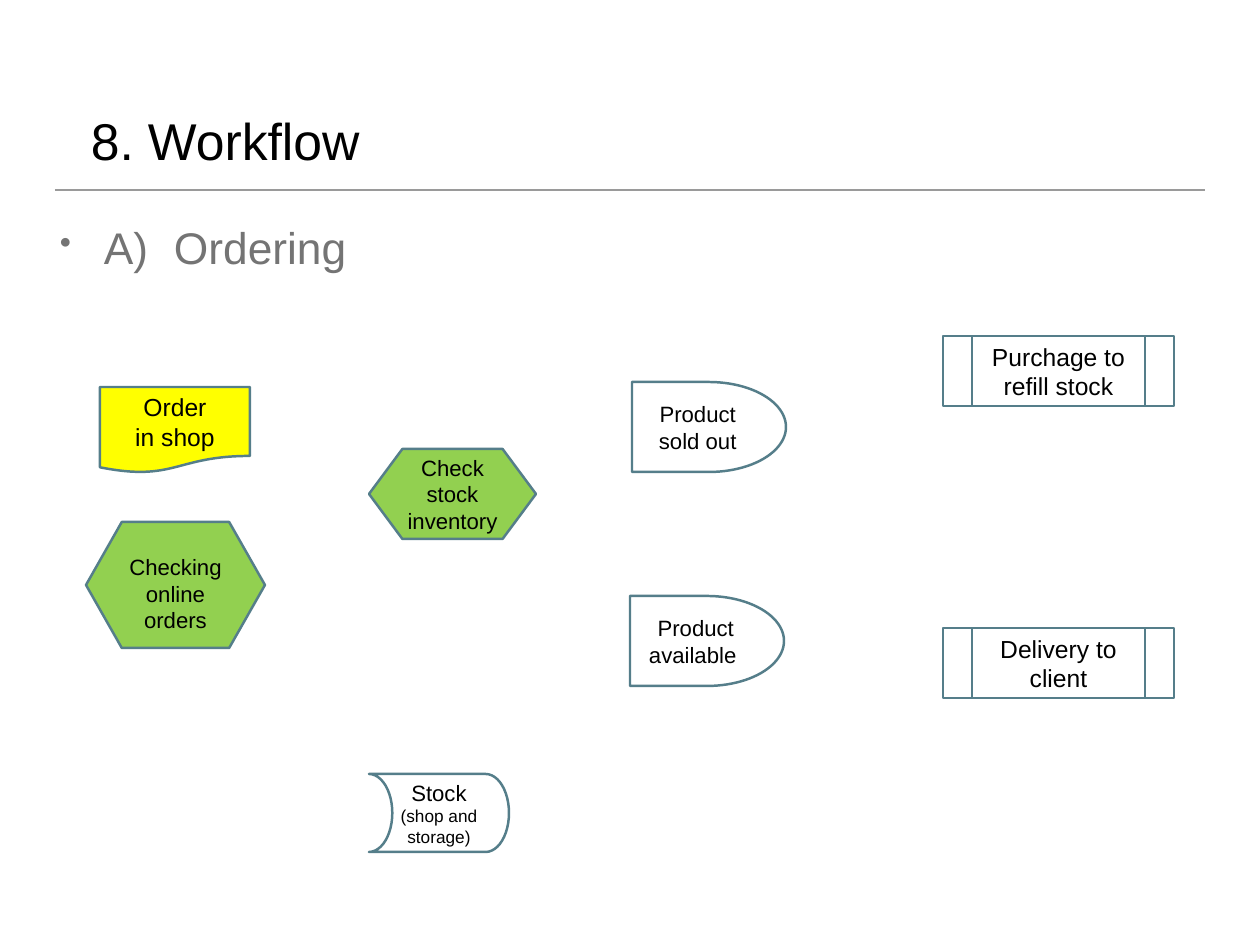
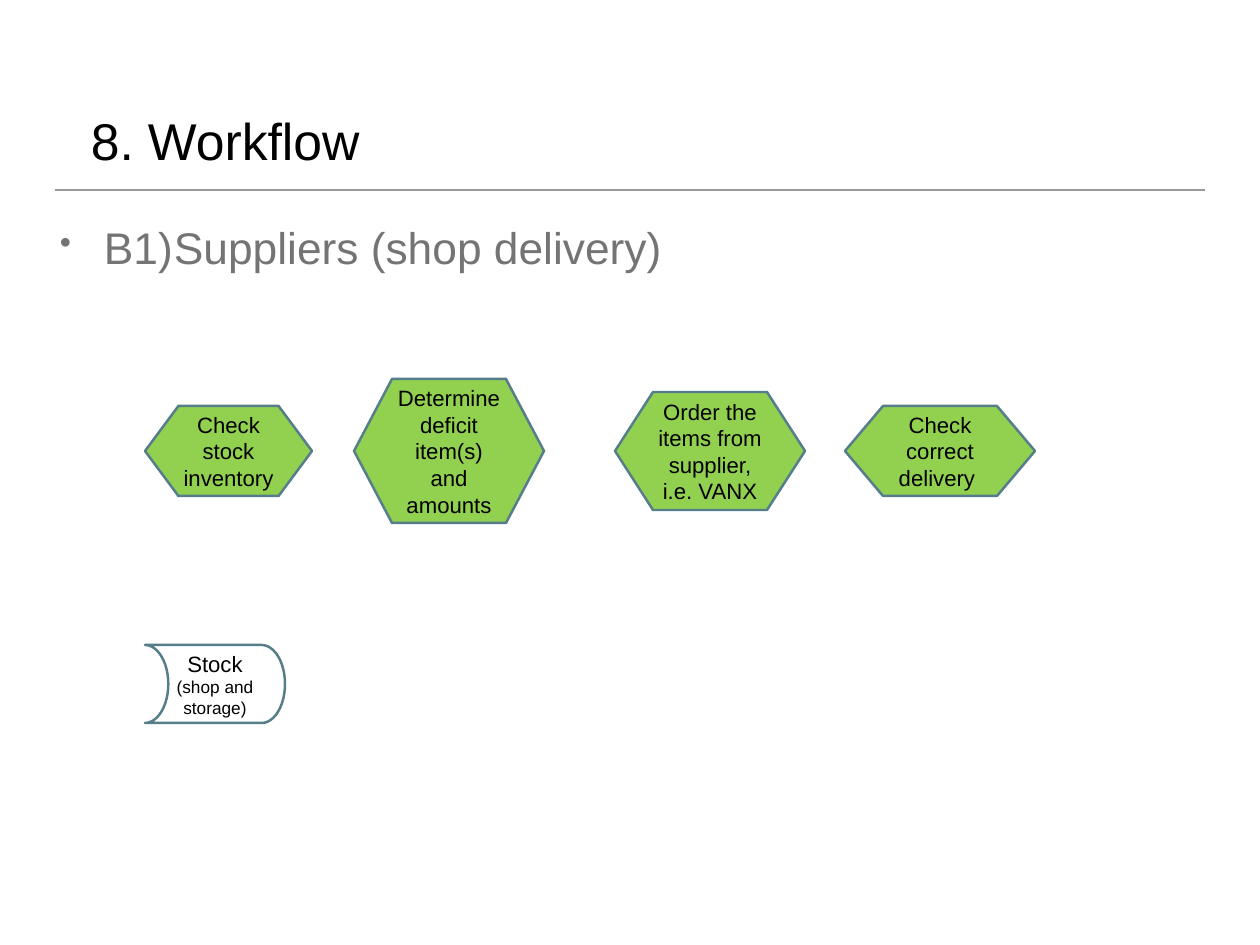
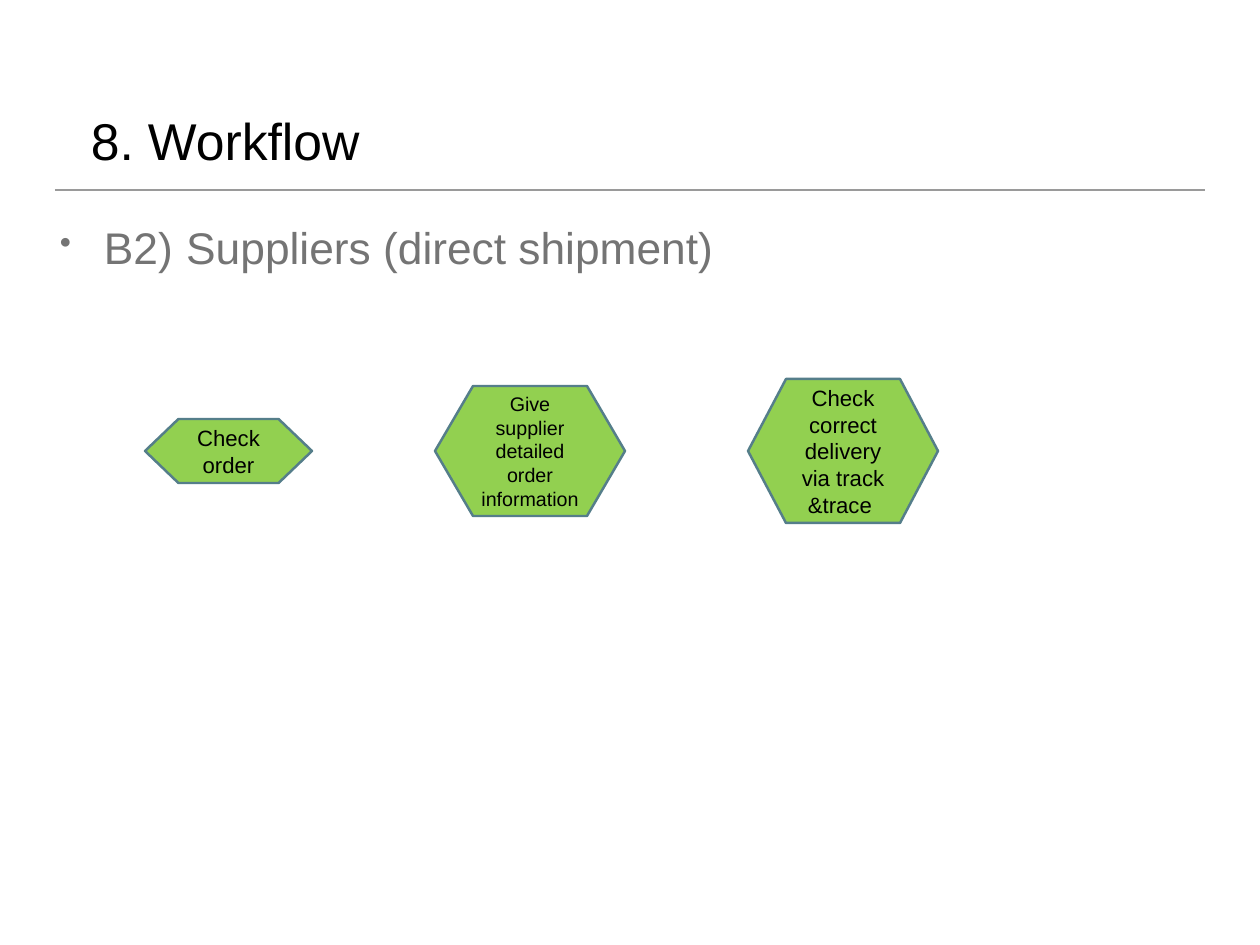
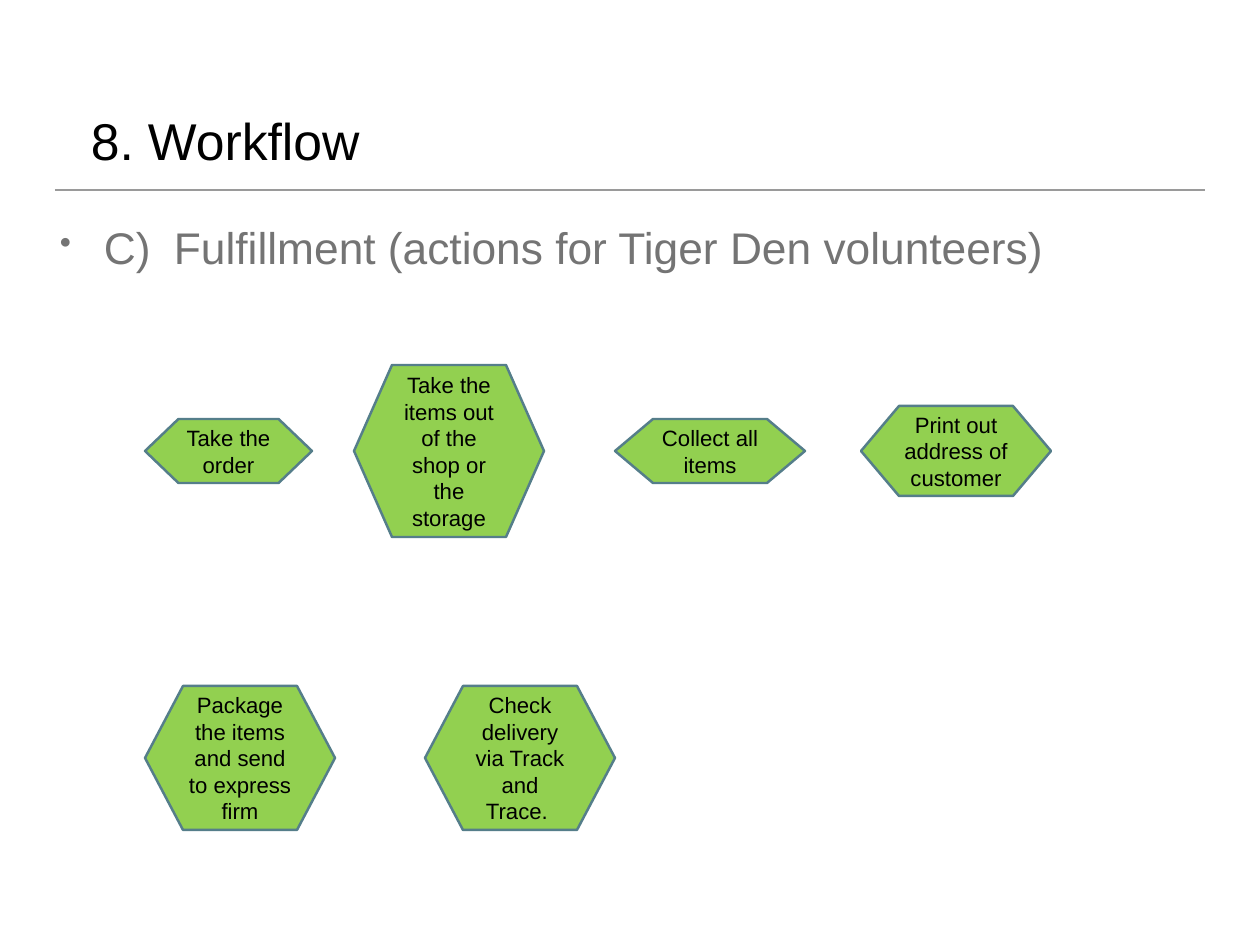
from lxml import etree
from pptx import Presentation
from pptx.dml.color import RGBColor
from pptx.enum.shapes import MSO_CONNECTOR, MSO_SHAPE
from pptx.enum.text import MSO_ANCHOR, MSO_AUTO_SIZE, PP_ALIGN
from pptx.oxml.ns import qn
from pptx.util import Pt

# Scale, colours and enum members
PX = 10320  # EMU in one px
BLACK = RGBColor(0x00, 0x00, 0x00)
WHITE = RGBColor(0xFF, 0xFF, 0xFF)
GRAY = RGBColor(0x74, 0x74, 0x74)
RULE_GRAY = RGBColor(0x9A, 0x9A, 0x9A)
OUTLINE = RGBColor(0x55, 0x7E, 0x8A)
GREEN = RGBColor(0x92, 0xD0, 0x50)
YELLOW = RGBColor(0xFF, 0xFF, 0x00)

ACTION = MSO_SHAPE.FLOWCHART_PREPARATION
DOCUMENT = MSO_SHAPE.FLOWCHART_DOCUMENT
STATE = MSO_SHAPE.FLOWCHART_DELAY
STORAGE = MSO_SHAPE.FLOWCHART_STORED_DATA
PROCESS = MSO_SHAPE.FLOWCHART_PREDEFINED_PROCESS
FILLS = {ACTION: GREEN, DOCUMENT: YELLOW}  # every other kind is white

LEFT, CENTER = PP_ALIGN.LEFT, PP_ALIGN.CENTER
TOP, MIDDLE, BOTTOM = MSO_ANCHOR.TOP, MSO_ANCHOR.MIDDLE, MSO_ANCHOR.BOTTOM
NO_FIT = MSO_AUTO_SIZE.NONE
STRAIGHT = MSO_CONNECTOR.STRAIGHT

INSET = 5
TAB_STEP = 57
HANGING = 44


def px(*lengths):
    return [round(length * PX) for length in lengths]


def write(shape, lines, color=BLACK, align=CENTER, anchor=MIDDLE, top_inset=INSET, bullet=False):
    """Fill a shape with (text, point size) paragraphs."""
    frame = shape.text_frame
    frame.word_wrap = True
    frame.auto_size = NO_FIT
    frame.vertical_anchor = anchor
    frame.margin_left = frame.margin_right = frame.margin_bottom = INSET * PX
    frame.margin_top = top_inset * PX
    for index, (text, size) in enumerate(lines):
        paragraph = frame.add_paragraph() if index else frame.paragraphs[0]
        paragraph.alignment = align
        properties = paragraph._p.get_or_add_pPr()
        properties.set("defTabSz", str(TAB_STEP * PX))
        if bullet:
            properties.set("marL", str(HANGING * PX))
            properties.set("indent", str(-HANGING * PX))
            etree.SubElement(properties, qn("a:buSzPct")).set("val", "75000")
            etree.SubElement(properties, qn("a:buChar")).set("char", "•")
        run = paragraph.add_run()
        run.text = text
        run.font.name = "Arial"
        run.font.size = Pt(size)
        run.font.color.rgb = color


# Steps: kind, left, vertical centre, width, height, paragraphs
ROW = 451
LOWER_ROW = 758
STOCK = [("Stock", 18), ("(shop and storage)", 14)]
workflows = [
    ("A)\tOrdering", [
        (DOCUMENT, 100, 430, 150, 86, [("Order", 20), ("in shop", 20)]),
        (ACTION, 86, 585, 179, 126, [("Checking online orders", 18)]),
        (ACTION, 369, 494, 167, 90, [("Check stock inventory", 18)]),
        (STORAGE, 369, 813, 140, 78, STOCK),
        (STATE, 632, 427, 154, 90, [("Product sold out", 18)]),
        (STATE, 630, 641, 154, 90, [("Product available ", 18)]),
        (PROCESS, 943, 371, 231, 70, [("Purchage to refill stock", 20)]),
        (PROCESS, 943, 663, 231, 70, [("Delivery to client", 20)]),
    ]),
    ("B1)\tSuppliers (shop delivery)", [
        (ACTION, 145, ROW, 167, 90, [("Check stock inventory", 18)]),
        (STORAGE, 145, 684, 140, 78, STOCK),
        (ACTION, 354, ROW, 190, 144, [("Determine deficit item(s) and amounts", 18)]),
        (ACTION, 615, ROW, 190, 118, [("Order the items from supplier, i.e. VANX", 18)]),
        (ACTION, 845, ROW, 190, 90, [("Check correct delivery ", 18)]),
    ]),
    ("B2)\t Suppliers (direct shipment)", [
        (ACTION, 145, ROW, 167, 64, [("Check order", 18)]),
        (ACTION, 435, ROW, 190, 130, [("Give supplier detailed order information", 16)]),
        (ACTION, 748, ROW, 190, 144, [("Check correct delivery via track &trace ", 18)]),
    ]),
    ("C)\tFulfillment (actions for Tiger Den volunteers)", [
        (ACTION, 145, ROW, 167, 64, [("Take the order", 18)]),
        (ACTION, 354, ROW, 190, 172, [("Take the items out of the shop or the storage", 18)]),
        (ACTION, 615, ROW, 190, 64, [("Collect all items", 18)]),
        (ACTION, 861, ROW, 190, 90, [("Print out address of customer", 18)]),
        (ACTION, 145, LOWER_ROW, 190, 144, [("Package the items and send to express firm", 18)]),
        (ACTION, 425, LOWER_ROW, 190, 144, [("Check delivery via Track and Trace. ", 18)]),
    ]),
]

deck = Presentation()
deck.slide_width, deck.slide_height = px(1260, 945)
title_only = deck.slide_layouts[5]

for heading, steps in workflows:
    slide = deck.slides.add_slide(title_only)

    # Title, rule and heading
    title = slide.shapes.title
    title.left, title.top, title.width, title.height = px(86, 40, 1149, 136)
    write(title, [("8.\tWorkflow", 42)], align=LEFT, anchor=BOTTOM)

    rule = slide.shapes.add_connector(STRAIGHT, *px(55, 190, 1205, 190))
    rule.line.color.rgb = RULE_GRAY
    rule.line.width = Pt(1)
    etree.SubElement(rule._element.spPr, qn("a:effectLst"))

    section = slide.shapes.add_textbox(*px(55, 215, 1149, 80))
    write(section, [(heading, 36)], color=GRAY, align=LEFT, anchor=TOP, bullet=True)

    # Workflow steps
    for kind, left, middle, width, height, lines in steps:
        step = slide.shapes.add_shape(kind, *px(left, middle - height / 2, width, height))
        step.shadow.inherit = False
        step.fill.solid()
        step.fill.fore_color.rgb = FILLS.get(kind, WHITE)
        step.line.color.rgb = OUTLINE
        step.line.width = Pt(2)
        if kind == STORAGE:
            step._element.spPr.xfrm.set("flipH", "1")
        # The online orders text sits below the middle of its shape
        lowered = lines[0][0] == "Checking online orders"
        write(step, lines, top_inset=INSET + 17 if lowered else INSET)

deck.save("out.pptx")
